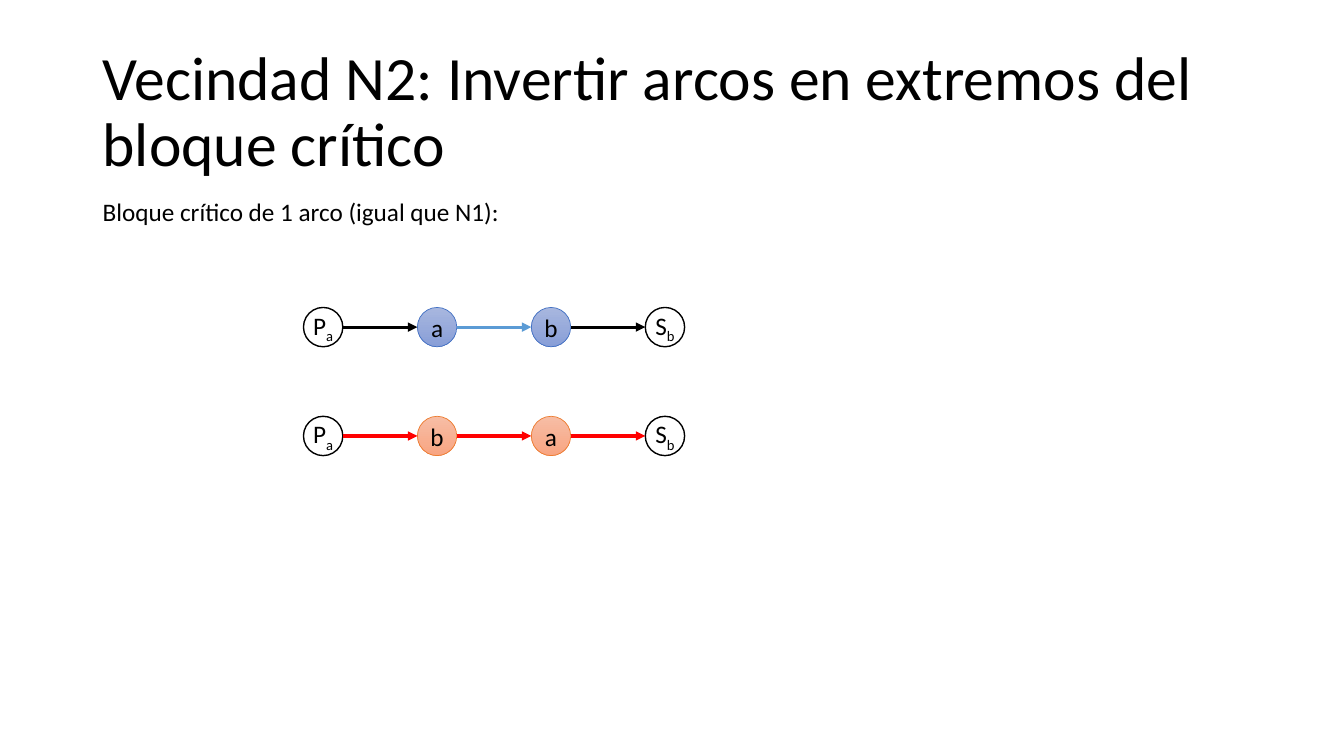
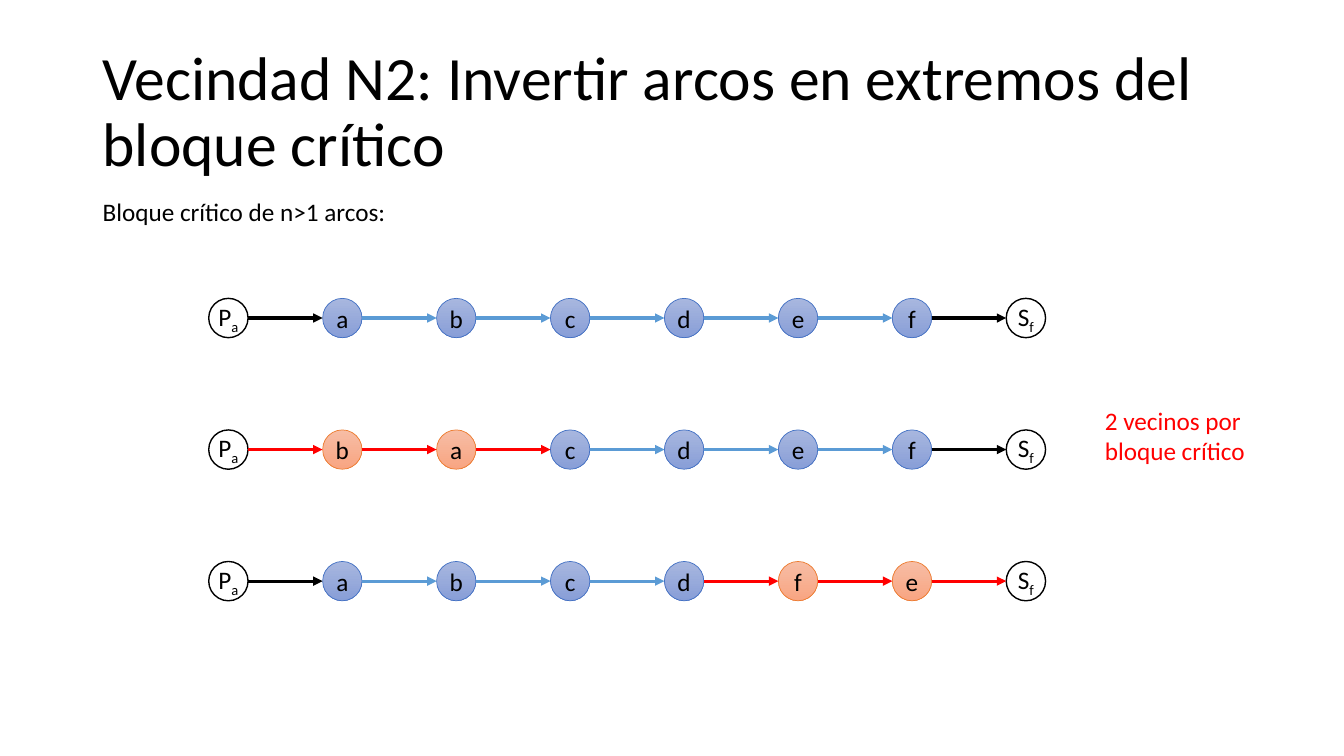
from lxml.etree import SubElement
from pptx import Presentation
from pptx.dml.color import RGBColor
from pptx.enum.shapes import MSO_CONNECTOR as Connector, MSO_SHAPE as Shape
from pptx.enum.text import MSO_ANCHOR as Anchor, MSO_AUTO_SIZE as AutoSize, PP_ALIGN as Align
from pptx.oxml.ns import qn
from pptx.util import Inches, Pt

TITLE = "Vecindad N2: Invertir arcos en extremos del bloque crítico"
PAGES = [
    {
        "subtitle": ("Bloque crítico de 1 arco (igual que N1):", 4.19),
        "left": 3.01, "first_top": 3.05, "last_top": 4.13,
        "ends": ("a", "b"),
        "chains": [("ab", ""), ("ba", "ba")],
        "remark": None,
    },
    {
        "subtitle": ("Bloque crítico de n>1 arcos:", 3.04),
        "left": 2.07, "first_top": 2.96, "last_top": 5.57,
        "ends": ("a", "f"),
        "chains": [("abcdef", ""), ("bacdef", "ba"), ("abcdfe", "fe")],
        "remark": "2 vecinos por bloque crítico",
    },
]

FONT = "Calibri"
BLACK, WHITE, RED, BLUE = "000000", "FFFFFF", "FF0000", "5B9BD5"
NODE_STYLES = {
    "end": {"fill": (WHITE,), "line": BLACK, "width": 1},
    "block": {"fill": ("A8B7DF", "889ED7"), "line": "4472C4", "width": 0.5},
    "swapped": {"fill": ("F7BDA5", "F8A582"), "line": "ED7D31", "width": 0.5},
}
NODE_SIZE, NODE_PITCH = 0.39, 1.13


def color(value):
    """Turn a hex string into a colour."""
    return RGBColor.from_string(value)


def style_text(para, size=18, value=BLACK):
    """Set the font of a paragraph."""
    para.font.name = FONT
    para.font.size = Pt(size)
    para.font.color.rgb = color(value)


def add_text(page, text, left, top, width, height, size=18, value=BLACK, wrap=True):
    """Add a text box with one paragraph and return its frame."""
    box = page.shapes.add_textbox(Inches(left), Inches(top), Inches(width), Inches(height))
    frame = box.text_frame
    frame.word_wrap = wrap
    frame.text = text
    style_text(frame.paragraphs[0], size, value)
    return frame


def add_title(page):
    """Add the shared title."""
    frame = add_text(page, TITLE, 0.92, 0.4, 11.5, 1.45, size=44)
    frame.vertical_anchor = Anchor.MIDDLE
    frame.paragraphs[0].line_spacing = 0.9


def add_node(page, left, top, kind, letter, subscript=""):
    """Draw one round node with its label."""
    style = NODE_STYLES[kind]
    size = Inches(NODE_SIZE)
    node = page.shapes.add_shape(Shape.OVAL, Inches(left), Inches(top), size, size)
    node.shadow.inherit = False
    if len(style["fill"]) == 1:
        node.fill.solid()
        node.fill.fore_color.rgb = color(style["fill"][0])
    else:
        node.fill.gradient()
        node.fill.gradient_angle = 270
        for stop, value in zip(node.fill.gradient_stops, style["fill"]):
            stop.color.rgb = color(value)
    node.line.color.rgb = color(style["line"])
    node.line.width = Pt(style["width"])
    frame = node.text_frame
    frame.margin_left = frame.margin_right = frame.margin_top = frame.margin_bottom = 0
    frame.vertical_anchor = Anchor.MIDDLE
    para = frame.paragraphs[0]
    para.alignment = Align.CENTER
    style_text(para)
    para.add_run().text = letter
    if subscript:
        span = para.add_run()
        span.text = subscript
        span._r.get_or_add_rPr().set("baseline", "-25000")


def add_arrow(page, start, end, middle, value):
    """Draw a horizontal arrow."""
    arrow = page.shapes.add_connector(
        Connector.STRAIGHT, Inches(start), Inches(middle), Inches(end), Inches(middle))
    arrow.line.color.rgb = color(value)
    arrow.line.width = Pt(2.25)
    SubElement(arrow.line._get_or_add_ln(), qn("a:tailEnd"), type="triangle")
    SubElement(arrow._element.spPr, qn("a:effectLst"))


def arrow_color(kinds):
    """Choose the arrow colour from the kinds of the nodes it joins."""
    if "swapped" in kinds:
        return RED
    return BLACK if "end" in kinds else BLUE


def add_chain(page, left, top, ends, letters, swapped):
    """Draw a chain of nodes joined by arrows."""
    nodes = [("end", "P", ends[0])]
    nodes += [("swapped" if letter in swapped else "block", letter) for letter in letters]
    nodes.append(("end", "S", ends[1]))
    for index, node in enumerate(nodes):
        node_left = left + index * NODE_PITCH
        add_node(page, node_left, top, *node)
        if index:
            add_arrow(page, node_left - NODE_PITCH + NODE_SIZE, node_left,
                      top + NODE_SIZE / 2, arrow_color((nodes[index - 1][0], node[0])))


def add_page(deck, content):
    """Build one slide."""
    page = deck.slides.add_slide(deck.slide_layouts[6])
    add_title(page)
    text, width = content["subtitle"]
    frame = add_text(page, text, 0.92, 1.9, width, 0.4, wrap=False)
    frame.auto_size = AutoSize.SHAPE_TO_FIT_TEXT
    first = content["first_top"]
    step = (content["last_top"] - first) / (len(content["chains"]) - 1)
    for row, (letters, swapped) in enumerate(content["chains"]):
        add_chain(page, content["left"], first + row * step, content["ends"], letters, swapped)
    if content["remark"]:
        frame = add_text(page, content["remark"], 10.86, 3.97, 2.03, 0.71, value=RED)
        frame.auto_size = AutoSize.SHAPE_TO_FIT_TEXT


def main():
    """Build and save the deck."""
    deck = Presentation()
    deck.slide_width, deck.slide_height = Inches(13.33), Inches(7.5)
    for content in PAGES:
        add_page(deck, content)
    deck.save("out.pptx")


if __name__ == "__main__":
    main()
